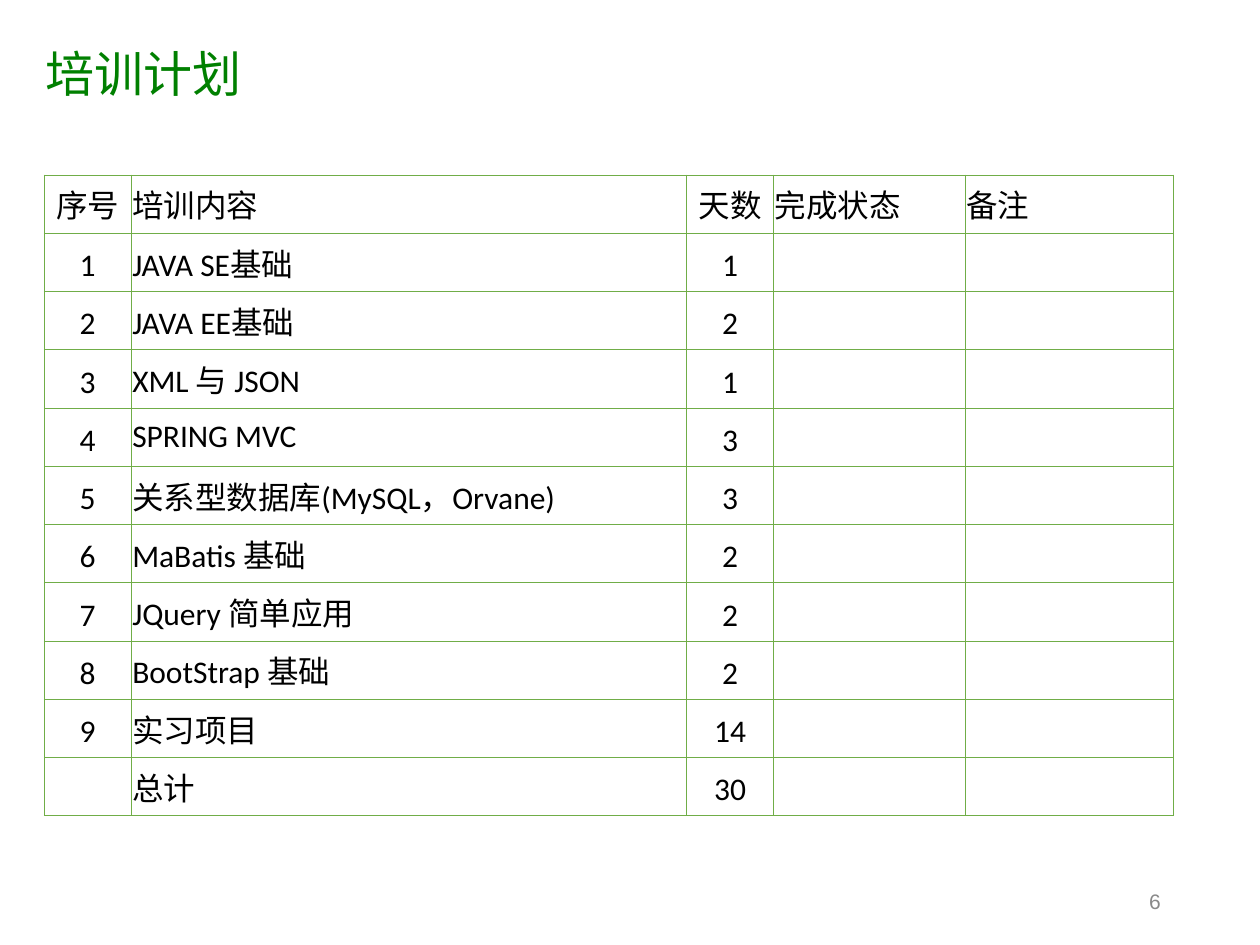
import pptx
import pptx.dml.color
import pptx.enum.text
import pptx.oxml
import pptx.oxml.ns
import pptx.util

Pt = pptx.util.Pt
RGBColor = pptx.dml.color.RGBColor
ALIGN = pptx.enum.text.PP_ALIGN
ANCHOR = pptx.enum.text.MSO_ANCHOR

GREEN = RGBColor(0x00, 0x80, 0x00)
BORDER = RGBColor(0x70, 0xAD, 0x47)
GREY = RGBColor(0x89, 0x89, 0x89)
BLACK = RGBColor(0x00, 0x00, 0x00)
CJK_FONT = "Noto Sans CJK SC"

HEADER = ("序号", "培训内容", "天数", "完成状态", "备注")
COURSES = (
    ("JAVA SE基础", 1),
    ("JAVA EE基础", 2),
    ("XML 与 JSON", 1),
    ("SPRING MVC", 3),
    ("关系型数据库(MySQL，Orvane)", 3),
    ("MaBatis 基础", 2),
    ("JQuery 简单应用", 2),
    ("BootStrap 基础", 2),
    ("实习项目", 14),
)
COLUMN_WIDTHS = (49.7, 317.5, 49.7, 109.4, 118.8)
ROW_HEIGHT = 33.3
CENTERED_COLUMNS = (0, 2)


def write_text(text_frame, text, *, size, font="Calibri", color=BLACK, align=ALIGN.LEFT):
    """Write one formatted paragraph into a text frame."""
    paragraph = text_frame.paragraphs[0]
    paragraph.alignment = align
    run = paragraph.add_run()
    run.text = text
    run.font.size = Pt(size)
    run.font.name = font
    run.font.color.rgb = color
    east_asian = pptx.oxml.parse_xml(
        f'<a:ea {pptx.oxml.ns.nsdecls("a")} typeface="{CJK_FONT}"/>')
    run.font._element.find(pptx.oxml.ns.qn("a:latin")).addnext(east_asian)


def set_margins(target, horizontal, vertical):
    """Set equal side margins and equal top and bottom margins."""
    target.margin_left = target.margin_right = Pt(horizontal)
    target.margin_top = target.margin_bottom = Pt(vertical)


def add_borders(cell):
    """Draw a thin line on all four sides of a cell."""
    properties = cell._tc.get_or_add_tcPr()
    for index, side in enumerate(("lnL", "lnR", "lnT", "lnB")):
        line = pptx.oxml.parse_xml(
            f'<a:{side} {pptx.oxml.ns.nsdecls("a")} w="{Pt(0.45)}">'
            f'<a:solidFill><a:srgbClr val="{BORDER}"/></a:solidFill></a:{side}>')
        properties.insert(index, line)


def format_title(slide):
    """Place and fill the title placeholder."""
    title = slide.shapes.title
    title.left, title.top, title.width, title.height = Pt(20.2), Pt(21.6), Pt(678.2), Pt(39.6)
    text_frame = title.text_frame
    text_frame.vertical_anchor = ANCHOR.MIDDLE
    set_margins(text_frame, 5.8, 2.9)
    write_text(text_frame, "培训计划", size=28, font=CJK_FONT, color=GREEN)


def add_plan_table(slide):
    """Add the table of courses with its header and total."""
    total = sum(days for _, days in COURSES)
    rows = [HEADER]
    rows += [(number, name, days, "", "")
             for number, (name, days) in enumerate(COURSES, 1)]
    rows.append(("", "总计", total, "", ""))
    table = slide.shapes.add_table(
        len(rows), len(HEADER), Pt(25.2), Pt(100), Pt(sum(COLUMN_WIDTHS)),
        Pt(ROW_HEIGHT * len(rows))).table
    table.first_row = table.horz_banding = False
    for column, width in zip(table.columns, COLUMN_WIDTHS):
        column.width = Pt(width)
    for row_index, values in enumerate(rows):
        table.rows[row_index].height = Pt(ROW_HEIGHT)
        for column_index, value in enumerate(values):
            cell = table.cell(row_index, column_index)
            centered = column_index in CENTERED_COLUMNS
            cell.fill.background()
            cell.vertical_anchor = ANCHOR.BOTTOM if centered and row_index else ANCHOR.MIDDLE
            set_margins(cell, 0.7, 3.6)
            add_borders(cell)
            if value != "":
                write_text(cell.text_frame, str(value), size=18,
                           align=ALIGN.CENTER if centered else ALIGN.LEFT)


def add_page_number(slide, number):
    """Add the page number at the bottom right."""
    text_frame = slide.shapes.add_textbox(Pt(508.3), Pt(500.4), Pt(162), Pt(28.8)).text_frame
    text_frame.word_wrap = True
    text_frame.vertical_anchor = ANCHOR.MIDDLE
    set_margins(text_frame, 7.2, 3.6)
    write_text(text_frame, str(number), size=12, font="Arial", color=GREY, align=ALIGN.RIGHT)


def main():
    """Build and save the training plan slide."""
    presentation = pptx.Presentation()
    presentation.slide_width, presentation.slide_height = Pt(720), Pt(540)
    slide = presentation.slides.add_slide(presentation.slide_layouts[5])
    format_title(slide)
    add_plan_table(slide)
    add_page_number(slide, 6)
    presentation.save("out.pptx")


if __name__ == "__main__":
    main()
